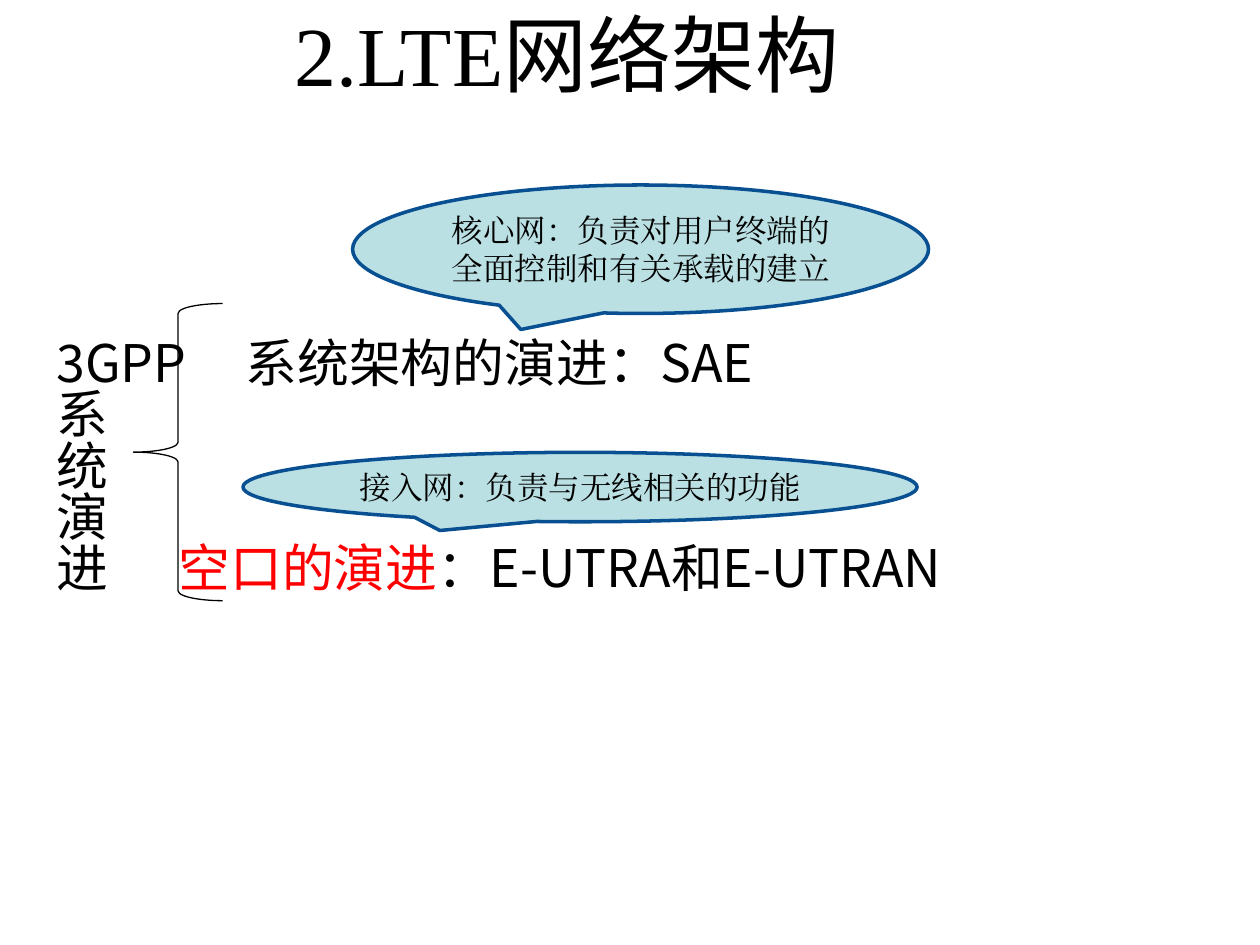
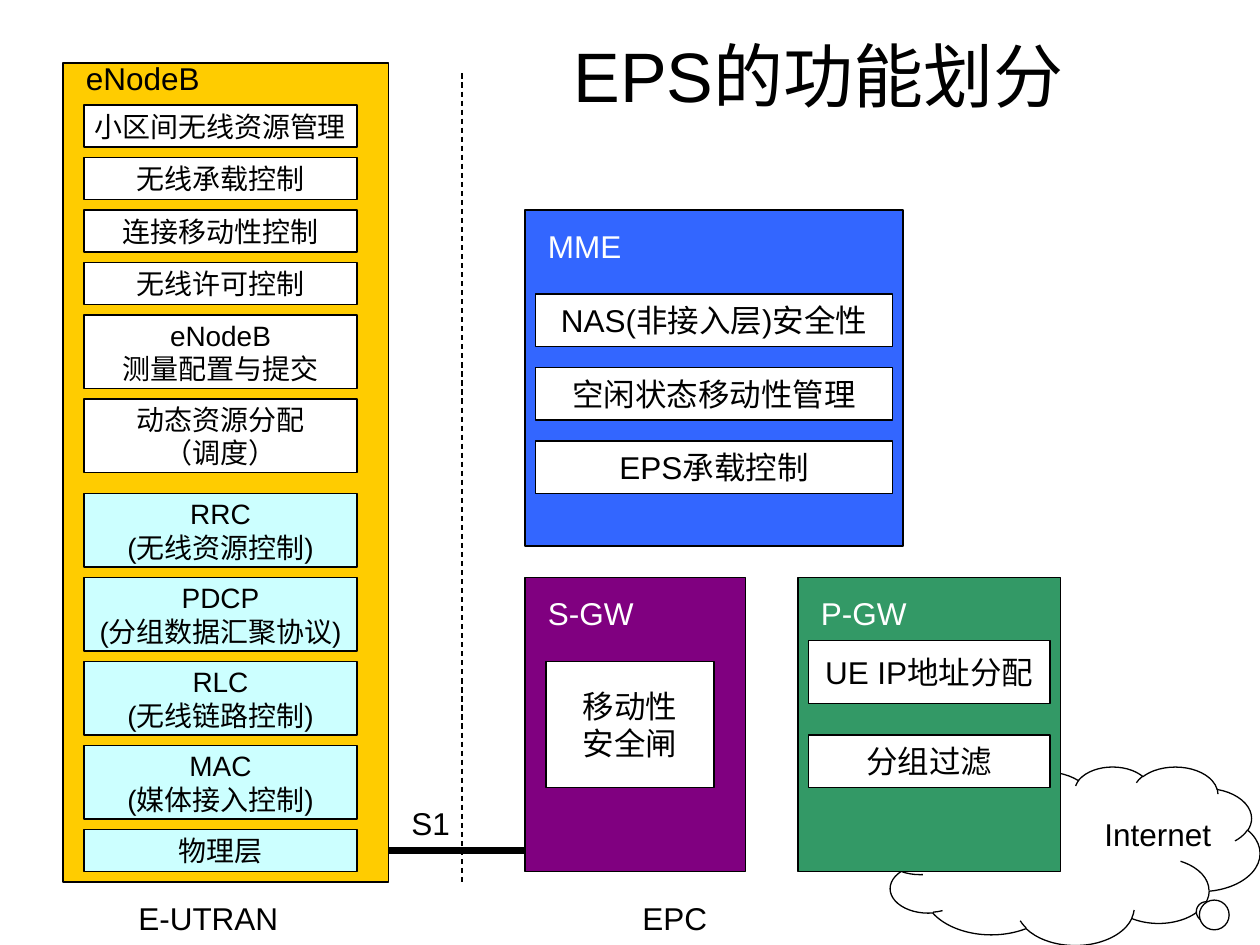
"""Build two slides on the LTE network architecture and the EPS functional split."""
from dataclasses import dataclass

from lxml import etree
from pptx import Presentation
from pptx.dml.color import RGBColor
from pptx.enum import dml, shapes, text
from pptx.oxml import ns
from pptx.util import Cm, Pt


@dataclass(frozen=True)
class Type:
    name: str
    size: float
    color: str = "000000"


class Theme:
    ink, paper = "000000", "FFFFFF"
    callout, callout_edge = "BBE0E3", "085091"
    enodeb, protocol = "FFCC00", "CCFFFF"
    mme, sgw, pgw = "3366FF", "800080", "339966"
    hairline, callout_line, link_line = 0.75, 2, 4.5
    title_latin = Type("Times New Roman", 48)
    title_cjk = Type("Arial", 48)
    title_eps = Type("Arial", 40)
    body = Type("Noto Sans CJK SC", 29.6)
    accent = Type("Noto Sans CJK SC", 29.6, "FF0000")
    bubble = Type("TeX Gyre Pagella", 18)
    label = Type("Arial", 18)
    label_light = Type("Arial", 18, "FFFFFF")
    cell = Type("Arial", 16)


WIDTH, HEIGHT = Cm(25.4), Cm(19.05)
STEP = WIDTH / 120

LTE_TITLE = [[("2.LTE", Theme.title_latin), ("网络架构", Theme.title_cjk)]]
EVOLUTION = [
    [("3GPP\t系统架构的演进：SAE", Theme.body)],
    [("系", Theme.body)],
    [("统", Theme.body)],
    [("演", Theme.body)],
    [("进\t", Theme.body), ("空口的演进", Theme.accent), ("：E-UTRA和E-UTRAN", Theme.body)],
]
EVOLUTION_TABS = {0: Cm(3.81), 4: Cm(2.46)}
BUBBLES = [
    ("核心网：负责对用户终端的全面控制和有关承载的建立", (7.11, 3.73, 11.61, 2.59)),
    ("接入网：负责与无线相关的功能", (4.9, 9.12, 13.59, 1.4)),
]

EPS_TITLE = "EPS的功能划分"
ENODEB_GROUPS = [
    (Theme.paper, ["小区间无线资源管理", "无线承载控制", "连接移动性控制", "无线许可控制",
                   "eNodeB\n测量配置与提交", "动态资源分配\n（调度）"]),
    (Theme.protocol, ["RRC\n(无线资源控制)", "PDCP\n(分组数据汇聚协议)",
                      "RLC\n(无线链路控制)", "MAC\n(媒体接入控制)", "物理层"]),
]
CORE_NODES = [
    ("MME", Theme.mme, (50, 20, 36, 32), [
        ("NAS(非接入层)安全性", (51, 28, 34, 5)),
        ("空闲状态移动性管理", (51, 35, 34, 5)),
        ("EPS承载控制", (51, 42, 34, 5))]),
    ("S-GW", Theme.sgw, (50, 55, 21, 28), [
        ("移动性\n安全闸", (52, 63, 16, 12))]),
    ("P-GW", Theme.pgw, (76, 55, 25, 28), [
        ("UE IP地址分配", (77, 61, 23, 6)),
        ("分组过滤", (77, 70, 23, 5))]),
]
CAPTIONS = [("S1", 38, 76, 8), ("E-UTRAN", 12, 85, 19),
            ("Internet", 104, 77, 14), ("EPC", 60, 85, 22)]

CENTERED = {"alignment": text.PP_ALIGN.CENTER}
MIDDLE = {"word_wrap": True, "vertical_anchor": text.MSO_ANCHOR.MIDDLE}
UNWRAPPED = {**MIDDLE, "word_wrap": False}
MARGINS = {"margin_left": Cm(0.25), "margin_right": Cm(0.25),
           "margin_top": Cm(0.13), "margin_bottom": Cm(0.13)}


def apply(target, values):
    for attribute, value in values.items():
        setattr(target, attribute, value)


def cm(*lengths):
    return [Cm(length) for length in lengths]


def grid(*steps):
    return [round(step * STEP) for step in steps]


def lines(content, style):
    return [[(line, style)] for line in content.split("\n")]


def write(part, paragraphs, frame_format, paragraph_format):
    frame = part.text_frame
    apply(frame, {**MARGINS, **frame_format})
    for index, runs in enumerate(paragraphs):
        paragraph = frame.add_paragraph() if index else frame.paragraphs[0]
        apply(paragraph, paragraph_format)
        for content, style in runs:
            run = paragraph.add_run()
            run.text = content
            apply(run.font, {"name": style.name, "size": Pt(style.size)})
            run.font.color.rgb = RGBColor.from_string(style.color)
            latin = run.font._element.find(ns.qn("a:latin"))
            east_asian = etree.Element(ns.qn("a:ea"), typeface=style.name)
            latin.addnext(east_asian)


def add_text(slide, box, paragraphs, frame_format=None, paragraph_format=None):
    part = slide.shapes.add_textbox(*box)
    write(part, paragraphs, {"word_wrap": True, **(frame_format or {})}, paragraph_format or {})
    return part


def add_label(slide, content, left, top, width, style=Theme.label):
    add_text(slide, grid(left, top, width, 4.8), lines(content, style))


def add_part(slide, preset, box, fill, edge=Theme.ink, weight=Theme.hairline, adjustments=()):
    part = slide.shapes.add_shape(preset, *box)
    part.shadow.inherit = False
    if fill:
        part.fill.solid()
        part.fill.fore_color.rgb = RGBColor.from_string(fill)
    else:
        part.fill.background()
    part.line.color.rgb = RGBColor.from_string(edge)
    part.line.width = Pt(weight)
    for index, value in enumerate(adjustments):
        part.adjustments[index] = value
    return part


def add_block(slide, box, fill, content="", style=Theme.label):
    block = add_part(slide, shapes.MSO_SHAPE.RECTANGLE, grid(*box), fill)
    if content:
        write(block, lines(content, style), UNWRAPPED, CENTERED)


def add_line(slide, ends, weight, dash=None):
    line = slide.shapes.add_connector(shapes.MSO_CONNECTOR.STRAIGHT, *grid(*ends))
    line.line.color.rgb = RGBColor.from_string(Theme.ink)
    apply(line.line, {"width": Pt(weight), "dash_style": dash})
    etree.SubElement(line._element.spPr, ns.qn("a:effectLst"))


def build_architecture(slide):
    add_text(slide, cm(0, -1.07, 22.86, 3.15), LTE_TITLE,
             {"vertical_anchor": text.MSO_ANCHOR.BOTTOM, "margin_left": 0,
              "margin_right": 0, "margin_bottom": 0}, CENTERED)
    evolution = add_text(slide, cm(0.89, 4.32, 24.13, 10.01), EVOLUTION,
                         {"margin_top": Cm(2.57)}, {"line_spacing": Pt(29.3)})
    for row, position in EVOLUTION_TABS.items():
        properties = evolution.text_frame.paragraphs[row]._p.get_or_add_pPr()
        stops = etree.SubElement(properties, ns.qn("a:tabLst"))
        etree.SubElement(stops, ns.qn("a:tab"), pos=str(position), algn="l")
    add_part(slide, shapes.MSO_SHAPE.LEFT_BRACE, cm(2.69, 6.12, 1.8, 5.99), None,
             adjustments=(0.11, 0.5))
    for content, box in BUBBLES:
        bubble = add_part(slide, shapes.MSO_SHAPE.OVAL_CALLOUT, cm(*box), Theme.callout,
                          Theme.callout_edge, Theme.callout_line, (-0.208, 0.625))
        write(bubble, lines(content, Theme.bubble), MIDDLE, CENTERED)


def build_enodeb(slide):
    add_block(slide, (6, 6, 31, 78), Theme.enodeb)
    add_label(slide, "eNodeB", 7, 5, 15)
    top = 10
    for fill, functions in ENODEB_GROUPS:
        for function in functions:
            height = 7 if "\n" in function else 4
            add_block(slide, (8, top, 26, height), fill, function, Theme.cell)
            top += height + 1
        top += 1


def build_functions(slide):
    add_text(slide, cm(8.31, 0.71, 16.38, 1.57), lines(EPS_TITLE, Theme.title_eps),
             MIDDLE, CENTERED)
    add_line(slide, (44, 7, 44, 84), Theme.hairline, dml.MSO_LINE.DASH)
    add_line(slide, (37, 81, 50, 81), Theme.link_line)
    build_enodeb(slide)
    add_part(slide, shapes.MSO_SHAPE.CLOUD_CALLOUT, grid(84, 73, 36, 17), Theme.paper,
             adjustments=(0.361, 0.316))
    for node, fill, box, functions in CORE_NODES:
        add_block(slide, box, fill)
        add_label(slide, node, box[0] + 1, box[1] + 1, 16, Theme.label_light)
        for function, cell in functions:
            add_block(slide, cell, Theme.paper, function)
    for caption in CAPTIONS:
        add_label(slide, *caption)


def main():
    deck = Presentation()
    apply(deck, {"slide_width": WIDTH, "slide_height": HEIGHT})
    for build in (build_architecture, build_functions):
        build(deck.slides.add_slide(deck.slide_layouts[6]))
    deck.save("out.pptx")


if __name__ == "__main__":
    main()
